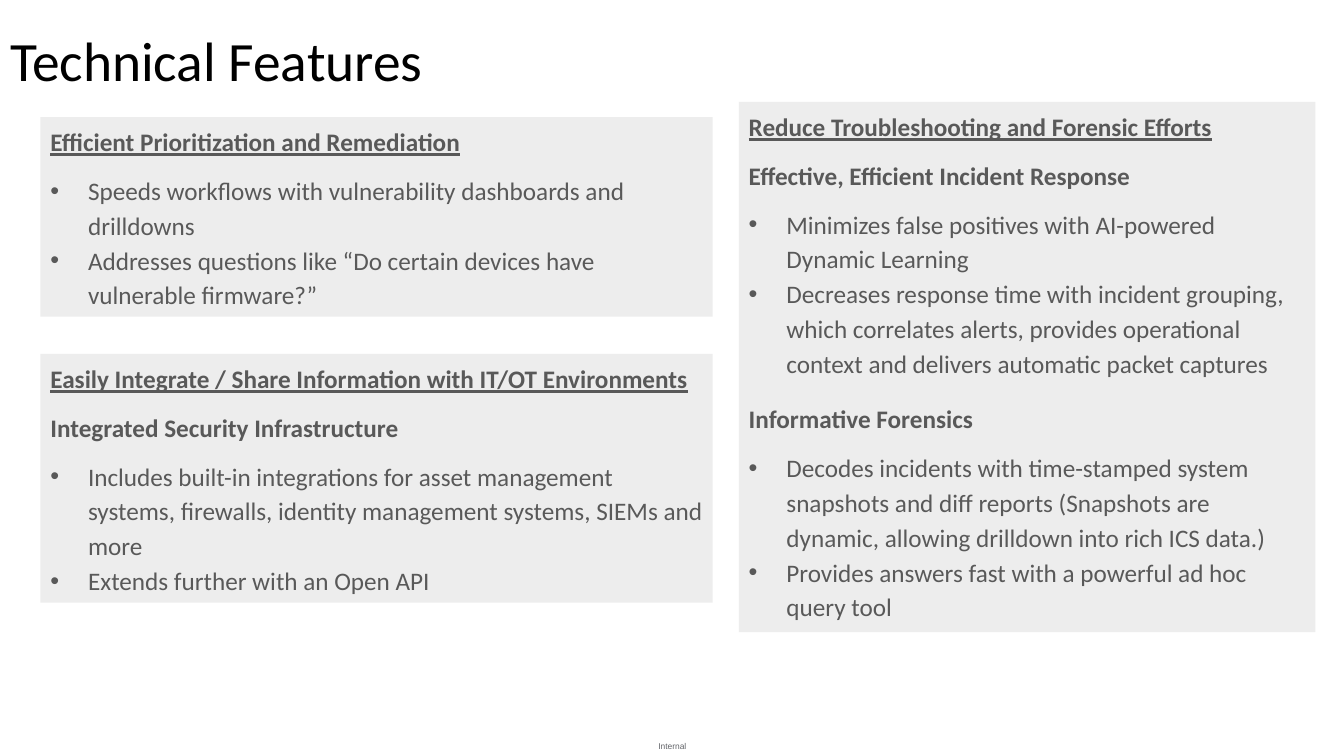
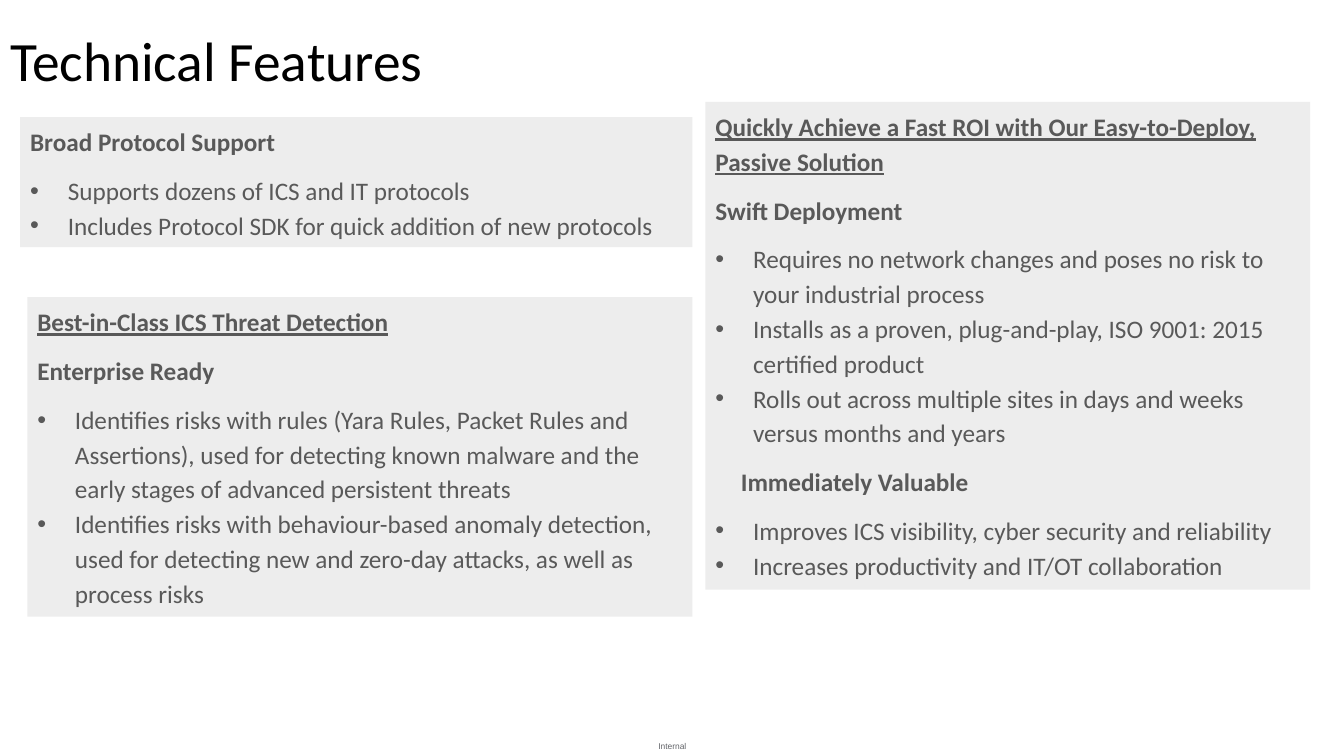
from dataclasses import dataclass

from lxml import etree
from pptx import Presentation
from pptx.dml.color import RGBColor
from pptx.enum import shapes, text
from pptx.oxml import ns
from pptx.util import Cm, Pt

COLORS = {"title": "000000", "body": "595959", "panel": "EDEDED", "footer": "626469"}
INDENT = Cm(0.95)


@dataclass
class Group:
    """Bullets under an optional heading; before is in points, indent in cm."""
    bullets: list[str]
    head: str = ""
    before: float = 0
    indent: float = 0


@dataclass
class Panel:
    """A grey box; left, top, width and height are in cm."""
    left: float
    top: float
    width: float
    height: float
    title: str
    groups: list[Group]


SLIDES = [
    [
        Panel(1.02, 2.95, 16.94, 5.03, "Efficient Prioritization and Remediation", [
            Group([
                "Speeds workflows with vulnerability dashboards and drilldowns",
                "Addresses questions like “Do certain devices have vulnerable firmware?”",
            ]),
        ]),
        Panel(18.62, 2.57, 14.53, 13.36, "Reduce Troubleshooting and Forensic Efforts", [
            Group([
                "Minimizes false positives with AI-powered Dynamic Learning",
                "Decreases response time with incident grouping, which correlates alerts, "
                "provides operational context and delivers automatic packet captures",
            ], "Effective, Efficient Incident Response"),
            Group([
                "Decodes incidents with time-stamped system snapshots and diff reports "
                "(Snapshots are dynamic, allowing drilldown into rich ICS data.)",
                "Provides answers fast with a powerful ad hoc query tool",
            ], "Informative Forensics", before=15),
        ]),
        Panel(1.02, 8.92, 16.94, 6.27,
              "Easily Integrate / Share Information with IT/OT Environments", [
            Group([
                "Includes built-in integrations for asset management systems, firewalls, "
                "identity management systems, SIEMs and more",
                "Extends further with an Open API",
            ], "Integrated Security Infrastructure"),
        ]),
    ],
    [
        Panel(0.51, 2.95, 16.94, 3.28, "", [
            Group([
                "Supports dozens of ICS and IT protocols",
                "Includes Protocol SDK for quick addition of new protocols",
            ], "Broad Protocol Support"),
        ]),
        Panel(17.78, 2.57, 15.24, 12.29,
              "Quickly Achieve a Fast ROI with Our Easy-to-Deploy, Passive Solution", [
            Group([
                "Requires no network changes and poses no risk to your industrial process",
                "Installs as a proven, plug-and-play, ISO 9001: 2015 certified product",
                "Rolls out across multiple sites in days and weeks versus months and years",
            ], "Swift Deployment"),
            Group([
                "Improves ICS visibility, cyber security and reliability",
                "Increases productivity and IT/OT collaboration",
            ], "Immediately Valuable", before=10, indent=0.64),
        ]),
        Panel(0.69, 7.49, 16.76, 8.05, "Best-in-Class ICS Threat Detection", [
            Group([
                "Identifies risks with rules (Yara Rules, Packet Rules and Assertions), used for "
                "detecting known malware and the early stages of advanced persistent threats",
                "Identifies risks with behaviour-based anomaly detection, used for detecting "
                "new and zero-day attacks, as well as process risks",
            ], "Enterprise Ready"),
        ]),
    ],
]


def style(para, size: float, color: str, face: str = "Calibri") -> None:
    para.font.size = Pt(size)
    para.font.name = face
    para.font.color.rgb = RGBColor.from_string(COLORS[color])


def add_line(frame, words: str, bullet: bool = False, under: bool = False,
             before: float = 0, indent: float = 0) -> None:
    """Fill the empty first paragraph, or append a new one."""
    para = frame.paragraphs[0]
    if para.runs:
        para = frame.add_paragraph()
    para.add_run().text = words
    para.alignment = text.PP_ALIGN.LEFT
    para.line_spacing = 1.15
    para.space_before = Pt(before)
    para.space_after = Pt(0 if bullet else 10)
    props = para._p.get_or_add_pPr()
    props.set("marL", str(INDENT if bullet else Cm(indent)))
    props.set("indent", str(-INDENT if bullet else 0))
    if bullet:
        etree.SubElement(props, ns.qn("a:buFont"), typeface="Arial")
        etree.SubElement(props, ns.qn("a:buChar"), char="•")
    style(para, 18, "body")
    para.font.bold = not bullet
    para.font.underline = under


def add_panel(slide, panel: Panel) -> None:
    box = slide.shapes.add_shape(
        shapes.MSO_SHAPE.RECTANGLE,
        Cm(panel.left), Cm(panel.top), Cm(panel.width), Cm(panel.height))
    box.shadow.inherit = False
    box.fill.solid()
    box.fill.fore_color.rgb = RGBColor.from_string(COLORS["panel"])
    box.line.fill.background()
    frame = box.text_frame
    frame.word_wrap = True
    frame.auto_size = text.MSO_AUTO_SIZE.SHAPE_TO_FIT_TEXT
    frame.vertical_anchor = text.MSO_ANCHOR.TOP
    if panel.title:
        add_line(frame, panel.title, under=True)
    for group in panel.groups:
        if group.head:
            add_line(frame, group.head, before=group.before, indent=group.indent)
        for item in group.bullets:
            add_line(frame, item, bullet=True)


def add_title(slide, words: str) -> None:
    title = slide.shapes.title
    title.left, title.top, title.width, title.height = Cm(0), Cm(0.64), Cm(19.43), Cm(1.93)
    frame = title.text_frame
    frame.text = words
    frame.auto_size = text.MSO_AUTO_SIZE.NONE
    frame.vertical_anchor = text.MSO_ANCHOR.MIDDLE
    para = frame.paragraphs[0]
    para.alignment = text.PP_ALIGN.LEFT
    para.line_spacing = 0.9
    style(para, 39.6, "title")


def add_footer(slide, words: str) -> None:
    box = slide.shapes.add_textbox(Cm(16.31), Cm(18.54), Cm(1.27), Cm(0.51))
    frame = box.text_frame
    frame.text = words
    frame.word_wrap = True
    frame.vertical_anchor = text.MSO_ANCHOR.MIDDLE
    frame.margin_left = frame.margin_right = frame.margin_top = frame.margin_bottom = 0
    para = frame.paragraphs[0]
    para.alignment = text.PP_ALIGN.CENTER
    style(para, 6, "footer", "Arial")


def main() -> None:
    deck = Presentation()
    deck.slide_width, deck.slide_height = Cm(33.87), Cm(19.05)
    layout = deck.slide_layouts.get_by_name("Title Only")
    for panels in SLIDES:
        slide = deck.slides.add_slide(layout)
        add_footer(slide, "Internal")
        add_title(slide, "Technical Features")
        for panel in panels:
            add_panel(slide, panel)
    deck.save("out.pptx")


if __name__ == "__main__":
    main()
